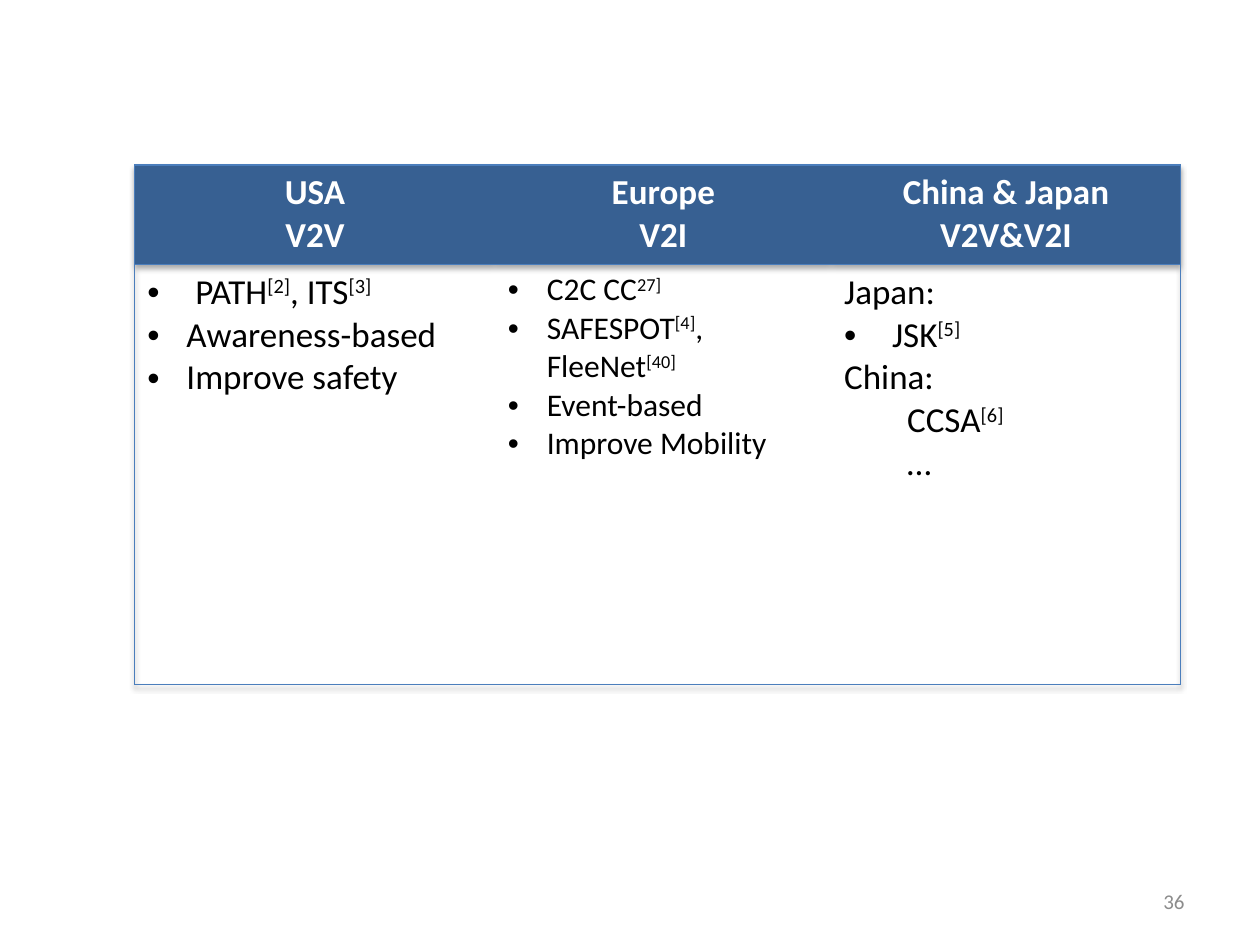
from lxml import etree
from pptx import Presentation
from pptx.dml.color import RGBColor
from pptx.enum.text import MSO_ANCHOR, PP_ALIGN
from pptx.oxml.ns import qn
from pptx.util import Inches, Pt

CENTER, RIGHT = PP_ALIGN.CENTER, PP_ALIGN.RIGHT
MIDDLE = MSO_ANCHOR.MIDDLE
BLANK_LAYOUT = 6
PLAIN_TABLE_STYLE = "{2D5ABB26-0587-4C30-8999-92F81FD0307C}"
FONT = "Calibri"
COLORS = {"header": "376092", "border": "4B7EBC", "light": "FFFFFF",
          "dark": "000000", "number": "8C8C8C", "shadow": "000000"}

HEADER_FORMAT = {"size": Pt(20), "bold": True, "color": "light"}
BODY_FORMAT = {"size": Pt(20), "bold": False, "color": "dark"}
SMALL_FORMAT = {**BODY_FORMAT, "size": Pt(18)}
NUMBER_FORMAT = {"size": Pt(12), "bold": False, "color": "number"}

# Paragraph kinds: left margin, first-line indent, bullet shown
KINDS = {"plain": (0, 0, False), "indented": (0.5, 0, False),
         "bullet": (0.31, -0.31, True), "wide bullet": (0.38, -0.38, True)}

# Each line is (kind, spans); every second span is a raised reference
REGIONS = [
    {"width": 2.86, "heading": ["USA", "V2V"], "format": BODY_FORMAT,
     "lines": [("wide bullet", ["PATH", "[2]", ", ITS", "[3]"]),
               ("bullet", ["Awareness-based"]),
               ("bullet", ["Improve safety"])]},
    {"width": 2.67, "heading": ["Europe", "V2I"], "format": SMALL_FORMAT,
     "lines": [("bullet", ["C2C CC", "27]"]),
               ("bullet", ["SAFESPOT", "[4]", ", FleeNet", "[40]"]),
               ("bullet", ["Event-based"]),
               ("bullet", ["Improve Mobility"])]},
    {"width": 2.77, "heading": ["China & Japan", "V2V&V2I"],
     "format": BODY_FORMAT,
     "lines": [("plain", ["Japan:"]),
               ("wide bullet", ["JSK", "[5]"]),
               ("plain", ["China:"]),
               ("indented", ["CCSA", "[6]"]),
               ("indented", ["…"])]},
]
ROW_HEIGHTS = [0.79, 3.33]


def add_span(para, text, formats, raised=False):
    span = para.add_run()
    span.text = text
    span.font.name = FONT
    for name, value in formats.items():
        if name == "color":
            span.font.color.rgb = RGBColor.from_string(COLORS[value])
        else:
            setattr(span.font, name, value)
    if raised:
        span._r.get_or_add_rPr().set("baseline", "30000")


def set_kind(para, kind):
    margin, indent, has_bullet = KINDS[kind]
    props = para._p.get_or_add_pPr()
    props.set("marL", str(Inches(margin)))
    props.set("indent", str(Inches(indent)))
    if has_bullet:
        etree.SubElement(props, qn("a:buFont"), typeface="Arial")
        etree.SubElement(props, qn("a:buChar"), char="•")
    else:
        etree.SubElement(props, qn("a:buNone"))


def write_lines(frame, lines, formats, align=None):
    for index, (kind, spans) in enumerate(lines):
        para = frame.paragraphs[0] if index == 0 else frame.add_paragraph()
        para.alignment = align
        set_kind(para, kind)
        for position, text in enumerate(spans):
            add_span(para, text, formats, raised=position % 2 == 1)


def set_borders(cell, sides):
    """Draw the named sides; the others stay clear."""
    props = cell._tc.get_or_add_tcPr()
    for index, side in enumerate("LRTB"):
        line = etree.Element(qn(f"a:ln{side}"), w=str(Pt(0.75)))
        if side in sides:
            fill = etree.SubElement(line, qn("a:solidFill"))
            etree.SubElement(fill, qn("a:srgbClr"), val=COLORS["border"])
        else:
            etree.SubElement(line, qn("a:noFill"))
        props.insert(index, line)


def style_table(table):
    """Plain style with a soft shadow below."""
    props = table._tbl.tblPr
    props.find(qn("a:tableStyleId")).text = PLAIN_TABLE_STYLE
    effects = etree.Element(qn("a:effectLst"))
    shadow = etree.SubElement(effects, qn("a:outerShdw"), blurRad=str(Pt(3)),
                              dist=str(Pt(2)), dir="5400000", rotWithShape="0")
    color = etree.SubElement(shadow, qn("a:srgbClr"), val=COLORS["shadow"])
    etree.SubElement(color, qn("a:alpha"), val="35000")
    props.insert(0, effects)


def add_region_table(page, left, top, width, height):
    table = page.shapes.add_table(len(ROW_HEIGHTS), len(REGIONS),
                                  left, top, width, height).table
    style_table(table)
    for row, row_height in zip(table.rows, ROW_HEIGHTS):
        row.height = Inches(row_height)
    for index, region in enumerate(REGIONS):
        table.columns[index].width = Inches(region["width"])
        outer = {0: "L", len(REGIONS) - 1: "R"}.get(index, "")

        # Heading
        heading = table.cell(0, index)
        heading.fill.solid()
        heading.fill.fore_color.rgb = RGBColor.from_string(COLORS["header"])
        set_borders(heading, "T" + outer)
        lines = [("plain", [text]) for text in region["heading"]]
        write_lines(heading.text_frame, lines, HEADER_FORMAT, CENTER)

        # Projects and goals
        body = table.cell(1, index)
        body.fill.background()
        set_borders(body, "TB" + outer)
        write_lines(body.text_frame, region["lines"], region["format"])


def add_page_number(page, left, top, width, height):
    frame = page.shapes.add_textbox(left, top, width, height).text_frame
    frame.word_wrap = True
    frame.vertical_anchor = MIDDLE
    write_lines(frame, [("plain", ["36"])], NUMBER_FORMAT, RIGHT)


def main():
    deck = Presentation()
    deck.slide_width, deck.slide_height = Inches(10), Inches(7.5)
    page = deck.slides.add_slide(deck.slide_layouts[BLANK_LAYOUT])
    add_region_table(page, Inches(1.07), Inches(1.31),
                     Inches(8.3), Inches(sum(ROW_HEIGHTS)))
    add_page_number(page, Inches(7.17), Inches(6.95), Inches(2.33), Inches(0.4))
    deck.save("out.pptx")


if __name__ == "__main__":
    main()
